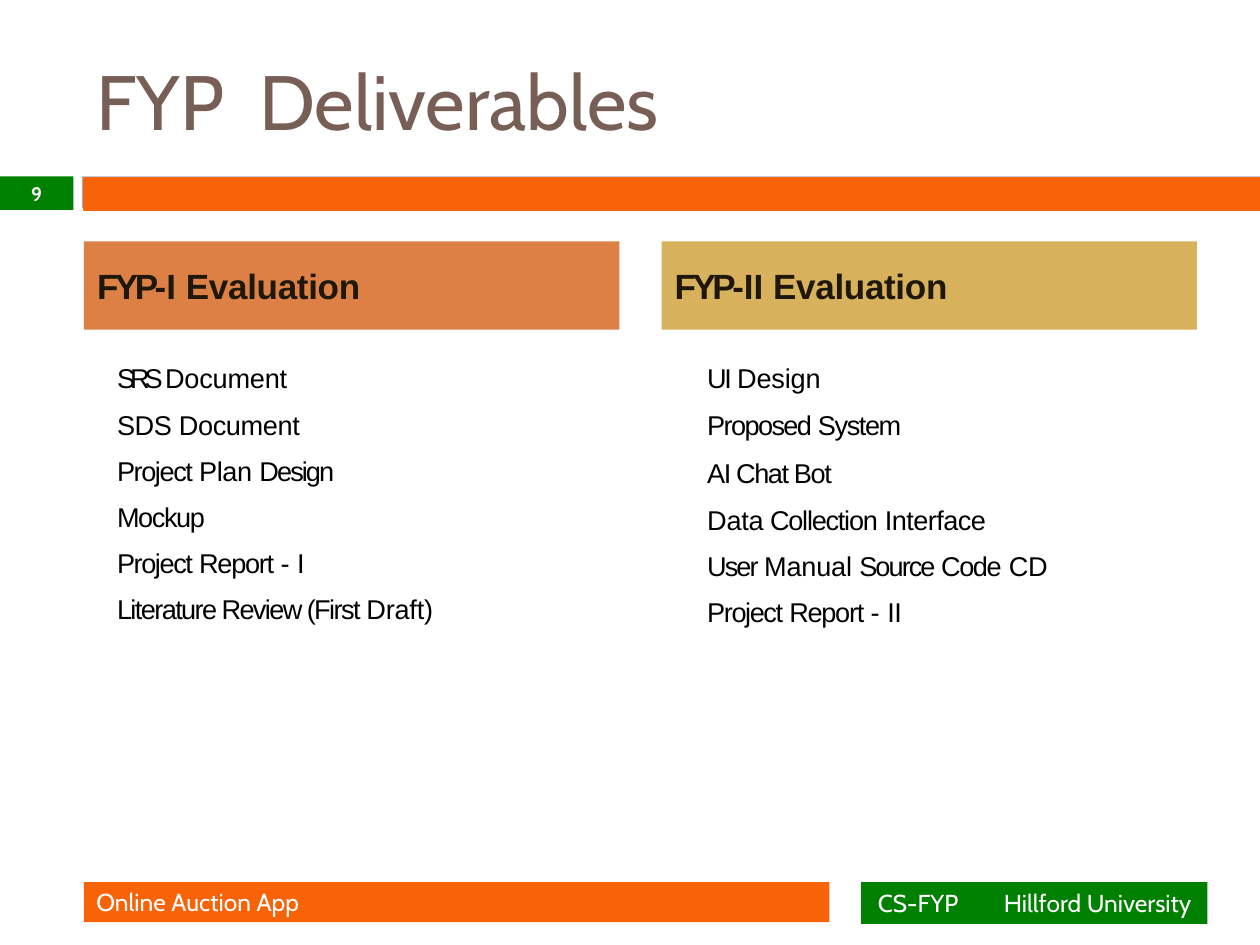
from pptx import Presentation
from pptx.dml.color import RGBColor
from pptx.enum.shapes import MSO_SHAPE as Shape
from pptx.enum.text import MSO_ANCHOR as Anchor, MSO_AUTO_SIZE as AutoSize, PP_ALIGN as Align
from pptx.oxml import parse_xml
from pptx.oxml.ns import nsdecls
from pptx.util import Pt


def color(value):
    return RGBColor.from_string(value)


def apply(target, values):
    for key, value in values.items():
        setattr(target, key, value)


class Deck:
    ORANGE, GREEN, BLUE = "F86308", "008000", "94B6D2"
    CABIN = {"name": "Cabin", "size": Pt(14), "bold": False}
    HEADING = {"name": "Arial", "size": Pt(20), "bold": True}
    LIST = {"name": "Arial", "size": Pt(15.5), "bold": False}
    BARE = {"margin_left": 0, "margin_right": 0, "margin_top": 0, "margin_bottom": 0}

    def __init__(self, slide):
        self.slide = slide

    def add_runs(self, paragraph, runs, font, ink):
        for text, tracking in runs:
            if text == "\n":
                paragraph.add_line_break()
                continue
            run = paragraph.add_run()
            run.text = text
            apply(run.font, font)
            run.font.color.rgb = color(ink)
            if tracking:
                run.font._element.set("spc", str(round(tracking * 100)))

    def indent(self, paragraph, left, right=0):
        properties = paragraph._p.get_or_add_pPr()
        properties.set("marL", str(Pt(left)))
        properties.set("marR", str(Pt(right)))
        properties.set("indent", "0")

    def title(self, text, box):
        heading = self.slide.shapes.title
        apply(heading, dict(zip(("left", "top", "width", "height"), map(Pt, box))))
        frame = heading.text_frame
        apply(frame, {"vertical_anchor": Anchor.MIDDLE, "auto_size": AutoSize.NONE})
        frame.paragraphs[0].alignment = Align.LEFT
        self.add_runs(frame.paragraphs[0], [(text, 0)], {**self.CABIN, "size": Pt(44)}, "775F55")

    def bar(self, box, fill, outline=None):
        bar = self.slide.shapes.add_shape(Shape.RECTANGLE, *map(Pt, box))
        bar.shadow.inherit = False
        bar.fill.solid()
        bar.fill.fore_color.rgb = color(fill)
        if outline:
            bar.line.color.rgb = color(outline)
            bar.line.width = Pt(1.5)
        else:
            bar.line.fill.background()
        return bar

    def label(self, box, fill, runs, font, ink="FFFFFF", align=Align.LEFT, left=0, tab=None, frame_values=None):
        frame = self.bar(box, fill).text_frame
        apply(frame, {"vertical_anchor": Anchor.MIDDLE, "word_wrap": True, **(frame_values or {})})
        paragraph = frame.paragraphs[0]
        paragraph.alignment = align
        self.indent(paragraph, left)
        if tab:
            paragraph._p.get_or_add_pPr().append(parse_xml(
                f'<a:tabLst {nsdecls("a")}><a:tab pos="{Pt(tab)}" algn="l"/></a:tabLst>'))
        self.add_runs(paragraph, runs, font, ink)

    def deliverables(self, box, items):
        frame = self.slide.shapes.add_textbox(*map(Pt, box)).text_frame
        apply(frame, {"word_wrap": True, **self.BARE, "margin_top": Pt(0.9)})
        for index, (before, spacing, right, runs) in enumerate(items):
            paragraph = frame.add_paragraph() if index else frame.paragraphs[0]
            apply(paragraph, {"space_before": Pt(before), "line_spacing": spacing})
            self.indent(paragraph, 0.9, right)
            self.add_runs(paragraph, runs, self.LIST, "000000")


def main():
    presentation = Presentation()
    apply(presentation, {"slide_width": Pt(720), "slide_height": Pt(540)})
    deck = Deck(presentation.slides.add_slide(presentation.slide_layouts[5]))
    left = 48

    deck.title("FYP  Deliverables", (left, 18, 600, 78))
    deck.bar((46.8, 100.8, 673.2, 18), deck.BLUE)
    deck.bar((left, 102, 672, 18), deck.ORANGE, deck.ORANGE)
    deck.label((0, 100.8, 42, 19.2), deck.GREEN, [("9", 0)],
               {**deck.CABIN, "size": Pt(11.2), "bold": True}, align=Align.CENTER)
    deck.label((left, 504, 426, 23), deck.ORANGE, [("Online Auction App", 0)], deck.CABIN)
    deck.label((492, 504, 198, 24), deck.GREEN, [("CS-FYP\tHillford University", 0)],
               deck.CABIN, left=2.5, tab=61.5)

    line = 1.41
    first_stage = [
        (0.9, line, 0, [("SRS ", -2.9), ("Document", -0.1)]),
        (0.9, line, 0, [("SDS Document", -0.2)]),
        (0.1, line, 50, [("Project ", -0.8), ("Plan ", -0.2), ("Design ", -1.1), ("Mockup", -0.8)]),
        (0, line, 0, [("Project ", -0.8), ("Report ", -0.7), ("- ", 0), ("I", -0.5)]),
        (7.7, 1.0, 0, [("Literature Review (First ", -0.9), ("Draft)", -0.1)]),
    ]
    second_stage = [
        (0.9, line, 0, [("UI ", -1.3), ("Design", -0.1)]),
        (0.9, line, 0, [("Proposed ", -0.9), ("System", -0.8)]),
        (0.9, line, 0, [("AI Chat Bot", -0.8)]),
        (0.9, line, 58, [("Data", -0.1), (" Collection", -0.7), (" Interface", -0.3), ("\n", 0),
                         ("User ", -1.1), ("Manual ", -0.1), ("Source ", -1.1), ("Code", -0.8),
                         (" CD ", -0.2), ("Project ", -0.8), ("Report ", -0.7), ("- ", 0), ("II", -0.2)]),
    ]
    stages = [
        ("I ", "DD8046", (66, 198, 216, 161), first_stage),
        ("II ", "D7B15C", (403.2, 198, 275, 163), second_stage),
    ]
    for column, (numeral, fill, box, items) in enumerate(stages):
        deck.label((left + column * 330, 138, 306, 50.4), fill,
                   [("FYP-", -2), (numeral, 0), ("Evaluation", -0.2)],
                   deck.HEADING, "1F180A", left=7.5, frame_values=deck.BARE)
        deck.deliverables(box, items)

    presentation.save("out.pptx")


if __name__ == "__main__":
    main()
